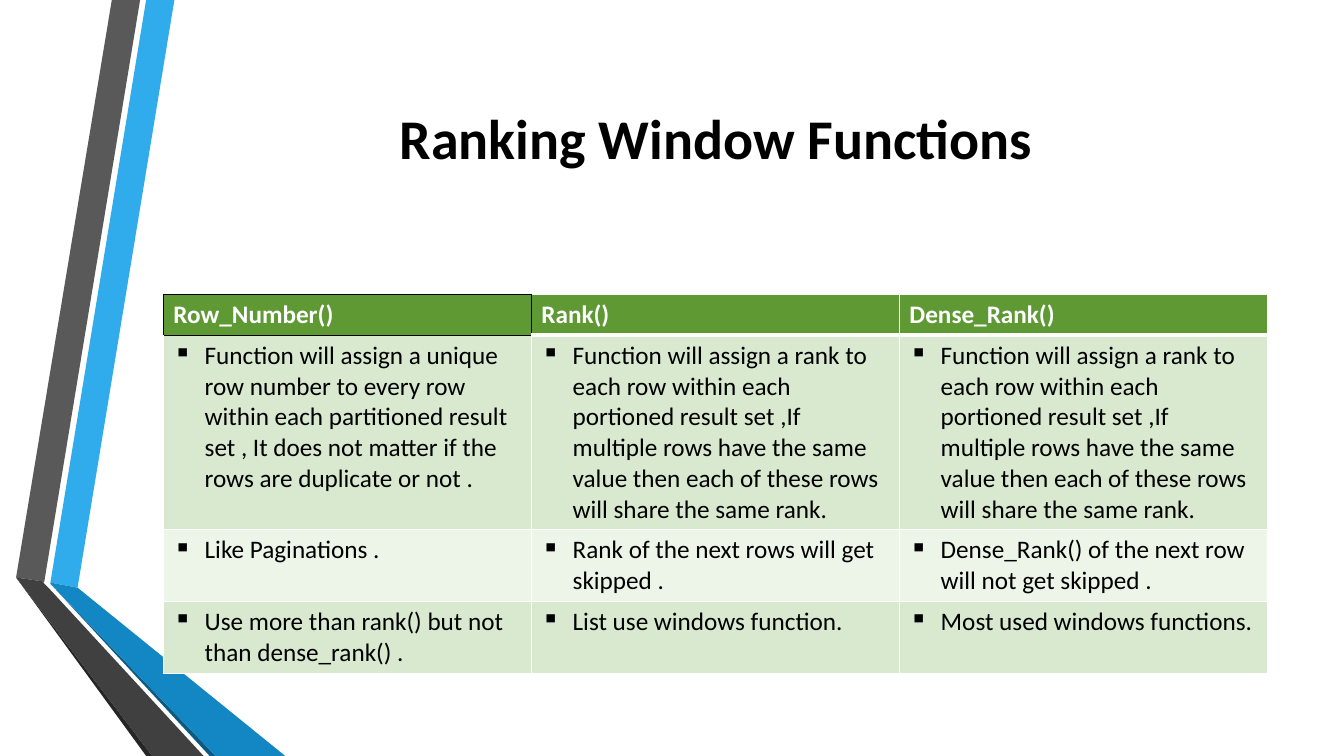
from dataclasses import dataclass

import pptx
import pptx.dml.color
import pptx.enum.text
import pptx.oxml
import pptx.oxml.ns
import pptx.presentation
import pptx.slide
import pptx.table
import pptx.text.text
import pptx.util

EMU_PER_PX = 9144
EMU_PER_PT = 12700


@dataclass(frozen=True)
class Theme:
    font: str = "Calibri"
    title_size: int = 40
    table_size: int = 18
    ink: str = "000000"
    paper: str = "FFFFFF"
    header: str = "5F9934"
    odd_band: str = "D8E9D0"
    even_band: str = "EDF5E9"
    blue: str = "30ACEC"
    blue_fold: str = "1287C3"
    blue_shade: str = "0C5A82"
    gray: str = "595959"
    gray_fold: str = "404040"
    gray_shade: str = "262626"


@dataclass(frozen=True)
class Ribbon:
    color: str
    points: tuple[tuple[int, int], ...]


@dataclass(frozen=True)
class RankingFunction:
    name: str
    behaviour: str
    next_rows: str
    usage: str


THEME = Theme()

RIBBONS = (
    Ribbon(THEME.blue, ((50, 578), (77, 583), (173, 0), (145, 0))),
    Ribbon(THEME.gray, ((139, 0), (111, 0), (16, 573), (44, 577))),
    Ribbon(THEME.gray_shade, ((16, 573), (145, 750), (151, 750))),
    Ribbon(THEME.blue_shade, ((50, 579), (208, 750), (214, 750))),
    Ribbon(THEME.blue_fold, ((50, 579), (214, 750), (283, 750), (77, 583), (50, 578))),
    Ribbon(THEME.gray_fold, ((202, 750), (48, 583), (43, 578), (44, 577), (16, 573), (151, 750))),
)

SHARED_RANK = (
    "Function will assign a rank to each row within each portioned result set ,"
    "If multiple rows have the same value then each of these rows will share the same rank."
)

FUNCTIONS = (
    RankingFunction(
        "Row_Number()",
        "Function will assign a unique row number to every row within each partitioned "
        "result set , It does not matter if the rows are duplicate or not .",
        "Like Paginations .",
        "Use more than rank() but not than dense_rank() .",
    ),
    RankingFunction(
        "Rank()",
        SHARED_RANK,
        "Rank of the next rows will get skipped .",
        "List use windows function.",
    ),
    RankingFunction(
        "Dense_Rank()",
        SHARED_RANK,
        "Dense_Rank() of the next row will not get skipped .",
        "Most used windows functions.",
    ),
)

COLUMN_WIDTH = 365
ROW_HEIGHTS = (40, 193, 71, 71)
BULLET_INDENT = 31


def px(length: int) -> pptx.util.Emu:
    return pptx.util.Emu(length * EMU_PER_PX)


def rgb(color: str) -> pptx.dml.color.RGBColor:
    return pptx.dml.color.RGBColor.from_string(color)


def format_runs(paragraph: pptx.text.text._Paragraph, size: int, color: str, bold: bool) -> None:
    for run in paragraph.runs:
        run.font.name = THEME.font
        run.font.size = pptx.util.Pt(size)
        run.font.bold = bold
        run.font.color.rgb = rgb(color)


def draw_ribbon(slide: pptx.slide.Slide, ribbon: Ribbon) -> None:
    outline = slide.shapes.build_freeform(*ribbon.points[0], scale=EMU_PER_PX)
    outline.add_line_segments(ribbon.points[1:], close=True)
    band = outline.convert_to_shape()
    band.shadow.inherit = False
    band.fill.solid()
    band.fill.fore_color.rgb = rgb(ribbon.color)
    band.line.fill.background()


def place_title(slide: pptx.slide.Slide, text: str) -> None:
    heading = slide.shapes.title
    heading.left, heading.top, heading.width, heading.height = map(px, (162, 75, 1096, 192))
    frame = heading.text_frame
    frame.text = text
    frame.auto_size = pptx.enum.text.MSO_AUTO_SIZE.NONE
    frame.vertical_anchor = pptx.enum.text.MSO_ANCHOR.MIDDLE
    frame.margin_bottom = px(66)
    paragraph = frame.paragraphs[0]
    paragraph.alignment = pptx.enum.text.PP_ALIGN.CENTER
    paragraph.line_spacing = 0.9
    format_runs(paragraph, THEME.title_size, THEME.ink, True)
    slide.shapes._spTree.append(heading._element)


def border_style(row: int, column: int, side: str) -> tuple[str, int]:
    framed = (
        (row, column) == (0, 0)
        or (row, column, side) == (0, 1, "L")
        or (row, column, side) == (1, 0, "T")
    )
    if framed:
        return THEME.ink, 1
    under_header = (row, side) in ((0, "B"), (1, "T"))
    return THEME.paper, 3 if under_header else 1


def add_borders(cell: pptx.table._Cell, row: int, column: int) -> None:
    properties = cell._tc.get_or_add_tcPr()
    for side in "LRTB":
        color, width = border_style(row, column, side)
        properties.append(pptx.oxml.parse_xml(
            f'<a:ln{side} {pptx.oxml.ns.nsdecls("a")} w="{width * EMU_PER_PT}">'
            f'<a:solidFill><a:srgbClr val="{color}"/></a:solidFill></a:ln{side}>'
        ))


def add_bullet(paragraph: pptx.text.text._Paragraph) -> None:
    properties = paragraph._p.get_or_add_pPr()
    properties.set("marL", str(px(BULLET_INDENT)))
    properties.set("indent", str(-px(BULLET_INDENT)))
    properties.append(pptx.oxml.parse_xml(
        f'<a:buChar {pptx.oxml.ns.nsdecls("a")} char="▪"/>'
    ))


def fill_cell(cell: pptx.table._Cell, text: str, row: int, column: int) -> None:
    is_header = row == 0
    band = THEME.odd_band if row % 2 else THEME.even_band
    add_borders(cell, row, column)
    cell.fill.solid()
    cell.fill.fore_color.rgb = rgb(THEME.header if is_header else band)
    cell.text_frame.text = text
    paragraph = cell.text_frame.paragraphs[0]
    if not is_header:
        add_bullet(paragraph)
    format_runs(paragraph, THEME.table_size, THEME.paper if is_header else THEME.ink, is_header)


def add_comparison(slide: pptx.slide.Slide) -> None:
    comparison = slide.shapes.add_table(
        len(ROW_HEIGHTS), len(FUNCTIONS), px(162), px(292),
        px(COLUMN_WIDTH * len(FUNCTIONS)), px(sum(ROW_HEIGHTS)),
    ).table
    comparison.horz_banding = False
    for row, height in enumerate(ROW_HEIGHTS):
        comparison.rows[row].height = px(height)
    for column, function in enumerate(FUNCTIONS):
        comparison.columns[column].width = px(COLUMN_WIDTH)
        entries = (function.name, function.behaviour, function.next_rows, function.usage)
        for row, entry in enumerate(entries):
            fill_cell(comparison.cell(row, column), entry, row, column)


def main() -> None:
    deck = pptx.Presentation()
    deck.slide_width, deck.slide_height = px(1333), px(750)
    slide = deck.slides.add_slide(deck.slide_layouts.get_by_name("Title Only"))
    for ribbon in RIBBONS:
        draw_ribbon(slide, ribbon)
    place_title(slide, "Ranking Window Functions")
    add_comparison(slide)
    deck.save("out.pptx")


if __name__ == "__main__":
    main()
